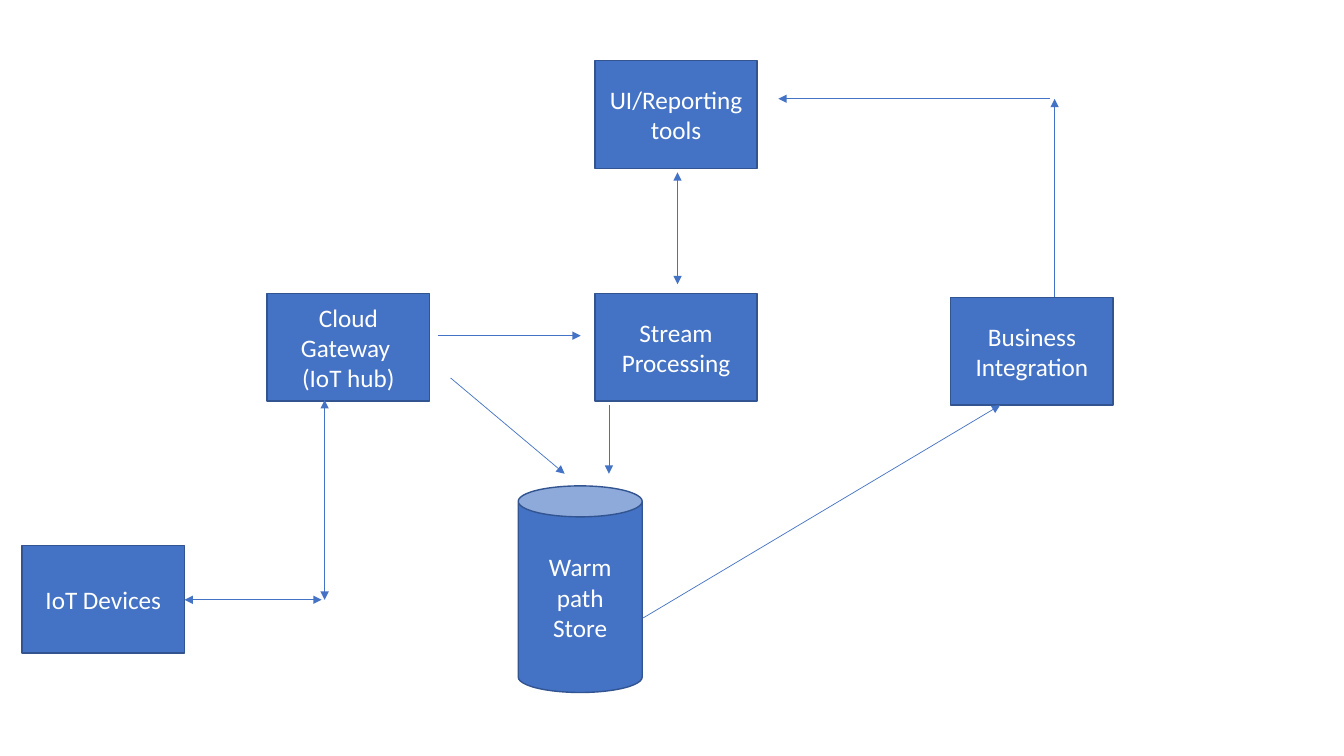
from lxml import etree
from pptx import Presentation
from pptx.dml.color import RGBColor
from pptx.enum.shapes import MSO_CONNECTOR, MSO_SHAPE
from pptx.enum.text import MSO_ANCHOR, PP_ALIGN
from pptx.oxml.ns import qn
from pptx.util import Inches, Pt

RECTANGLE = MSO_SHAPE.RECTANGLE
CAN = MSO_SHAPE.CAN
STRAIGHT = MSO_CONNECTOR.STRAIGHT
MIDDLE = MSO_ANCHOR.MIDDLE
CENTER = PP_ALIGN.CENTER

BLANK_LAYOUT = 6
FONT = "Calibri"
COLORS = {"fill": "4472C4", "outline": "325491", "text": "FFFFFF"}
BOX_SIZE = (1.61, 1.07)
STORE_SIZE = (1.23, 2.05)

# Left, top, lines of text
BOXES = [
    (0.22, 5.41, ["IoT Devices"]),
    (2.65, 2.91, ["Cloud Gateway ", "(IoT hub)"]),
    (9.43, 2.95, ["Business Integration"]),
    (5.9, 2.91, ["Stream Processing"]),
    (5.9, 0.6, ["UI/Reporting tools"]),
]

# Start, end, whether the start has an arrowhead too
ARROWS = [
    ((3.22, 3.97), (3.22, 5.95), True),    # gateway to the devices' level
    ((3.19, 5.95), (1.83, 5.95), True),    # on to the devices
    ((4.34, 3.33), (5.76, 3.33), False),   # gateway to stream processing
    ((10.46, 2.95), (10.46, 0.98), False),  # integration up to the tools' level
    ((6.04, 4.02), (6.04, 4.7), False),    # stream processing to store
    ((4.47, 3.75), (5.6, 4.7), False),     # gateway to store
    ((10.41, 0.98), (7.72, 0.98), False),  # on to the reporting tools
    ((6.72, 1.71), (6.72, 2.82), True),    # reporting tools and stream processing
    ((6.38, 6.13), (9.92, 4.02), False),   # store to integration
]


def color(name):
    """Return the named colour."""
    return RGBColor.from_string(COLORS[name])


def add_node(slide, kind, left, top, size, lines):
    """Add a filled shape with one centred paragraph per line."""
    shape = slide.shapes.add_shape(
        kind, Inches(left), Inches(top), *map(Inches, size))
    shape.shadow.inherit = False
    shape.fill.solid()
    shape.fill.fore_color.rgb = color("fill")
    shape.line.color.rgb = color("outline")
    shape.line.width = Pt(1)
    frame = shape.text_frame
    frame.word_wrap = True
    frame.vertical_anchor = MIDDLE
    for index, text in enumerate(lines):
        paragraph = frame.add_paragraph() if index else frame.paragraphs[0]
        paragraph.alignment = CENTER
        run = paragraph.add_run()
        run.text = text
        run.font.name = FONT
        run.font.size = Pt(18)
        run.font.color.rgb = color("text")


def add_arrow(slide, start, end, two_way):
    """Add a thin straight arrow, with heads at both ends if two_way."""
    connector = slide.shapes.add_connector(
        STRAIGHT, *map(Inches, start + end))
    connector.line.color.rgb = color("fill")
    connector.line.width = Pt(0.5)
    line = connector.line._get_or_add_ln()
    for tag in ["a:headEnd", "a:tailEnd"] if two_way else ["a:tailEnd"]:
        etree.SubElement(line, qn(tag), type="triangle")
    etree.SubElement(connector._element.spPr, qn("a:effectLst"))


def main():
    """Build the data flow diagram and save it."""
    presentation = Presentation()
    presentation.slide_width = Inches(13.33)
    presentation.slide_height = Inches(7.5)
    slide = presentation.slides.add_slide(
        presentation.slide_layouts[BLANK_LAYOUT])
    for left, top, lines in BOXES:
        add_node(slide, RECTANGLE, left, top, BOX_SIZE, lines)
    add_node(slide, CAN, 5.14, 4.82, STORE_SIZE, ["Warm path Store"])
    for start, end, two_way in ARROWS:
        add_arrow(slide, start, end, two_way)
    presentation.save("out.pptx")


main()
